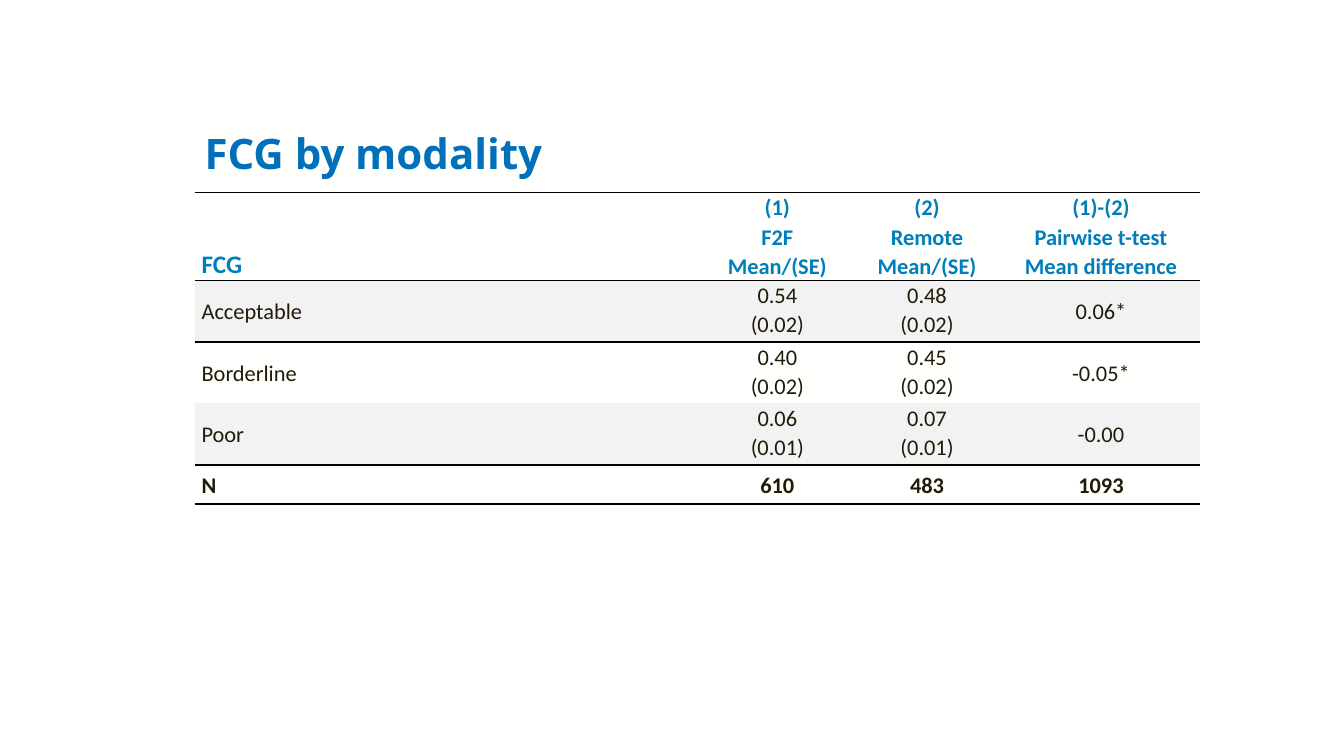
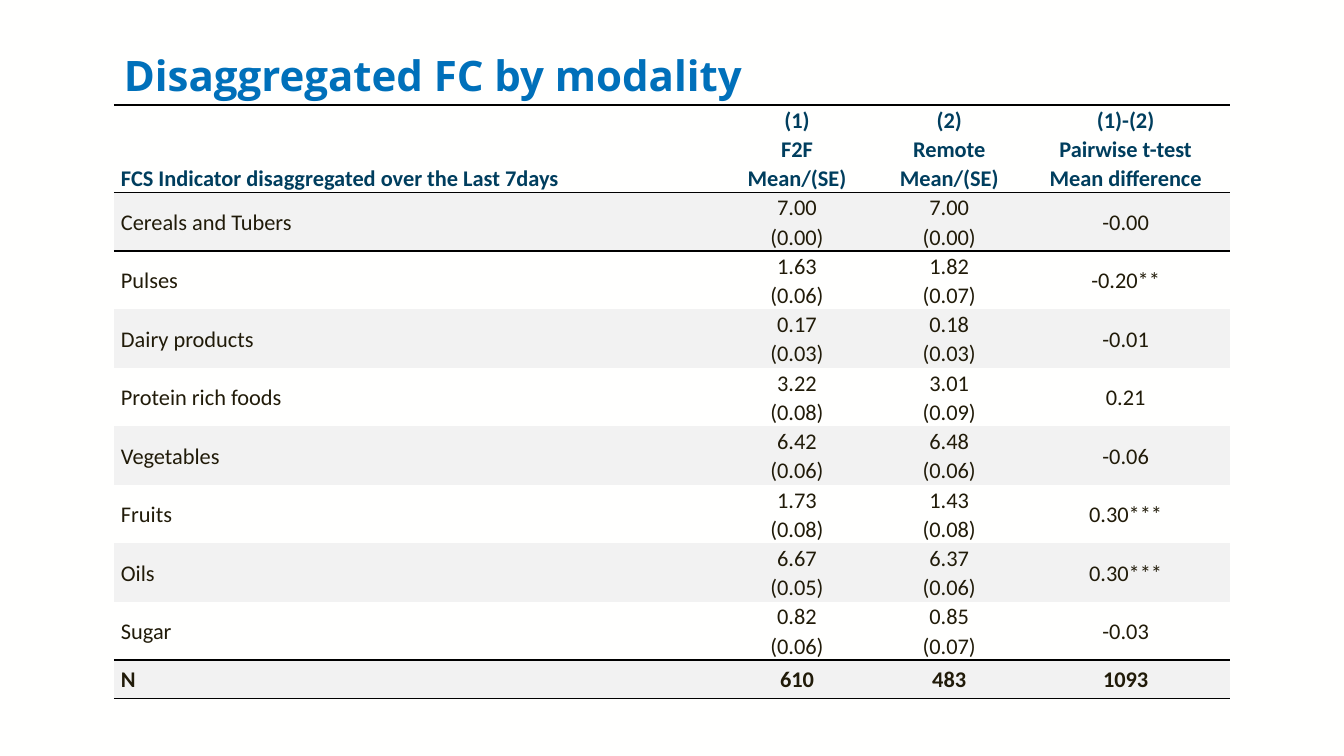
from lxml.etree import SubElement
from pptx import Presentation
from pptx.dml.color import RGBColor
from pptx.enum.text import MSO_ANCHOR, PP_ALIGN
from pptx.oxml.ns import qn
from pptx.util import Inches, Pt

PAPER = RGBColor(0xFF, 0xFF, 0xFE)
TITLE = RGBColor(0x00, 0x70, 0xBA)
BLUE = RGBColor(0x00, 0x7D, 0xBC)
NAVY = RGBColor(0x00, 0x3E, 0x5E)
INK = RGBColor(0x21, 0x1B, 0x09)
BAND = RGBColor(0xF2, 0xF2, 0xF2)
RULE = RGBColor(0x00, 0x00, 0x00)
NO_STYLE = "{2D5ABB26-0587-4C30-8999-92F81FD0307C}"

HEAD = ("(1)\nF2F\nMean/(SE)", "(2)\nRemote\nMean/(SE)", "(1)-(2)\nPairwise t-test\nMean difference")
TOTAL = ("N", "610", "483", "1093")

SLIDES = [
    dict(title="FCG by modality", left=1.93, title_top=0.92, top=1.91,
         cols=(5.04, 1.48, 1.49, 1.96), row_h=0.61, total_h=0.39,
         label="FCG", label_size=18, head_color=BLUE,
         body=[
             ("Acceptable", "0.54\n(0.02)", "0.48\n(0.02)", "0.06*"),
             ("Borderline", "0.40\n(0.02)", "0.45\n(0.02)", "-0.05*"),
             ("Poor", "0.06\n(0.01)", "0.07\n(0.01)", "-0.00"),
         ]),
    dict(title="Disaggregated FC by modality", left=1.13, title_top=0.14, top=1.04,
         cols=(5.98, 1.59, 1.43, 2.07), row_h=0.58, total_h=0.38,
         label="FCS Indicator disaggregated over the Last 7days", label_size=16, head_color=NAVY,
         body=[
             ("Cereals and Tubers", "7.00\n(0.00)", "7.00\n(0.00)", "-0.00"),
             ("Pulses", "1.63\n(0.06)", "1.82\n(0.07)", "-0.20**"),
             ("Dairy products", "0.17\n(0.03)", "0.18\n(0.03)", "-0.01"),
             ("Protein rich foods", "3.22\n(0.08)", "3.01\n(0.09)", "0.21"),
             ("Vegetables", "6.42\n(0.06)", "6.48\n(0.06)", "-0.06"),
             ("Fruits", "1.73\n(0.08)", "1.43\n(0.08)", "0.30***"),
             ("Oils", "6.67\n(0.05)", "6.37\n(0.06)", "0.30***"),
             ("Sugar", "0.82\n(0.06)", "0.85\n(0.07)", "-0.03"),
         ]),
]


def style(p, font, size, color, bold, spacing):
    p.line_spacing = spacing
    p.font.name = font
    p.font.size = Pt(size)
    p.font.bold = bold
    p.font.color.rgb = color


def add_rule(cell, side):
    ln = SubElement(cell._tc.get_or_add_tcPr(), qn(f"a:{side}"), w=str(Pt(1.5)))
    fill = SubElement(ln, qn("a:solidFill"))
    SubElement(fill, qn("a:srgbClr"), val=str(RULE))


prs = Presentation()
prs.slide_width, prs.slide_height = Inches(13.33), Inches(7.5)

for d in SLIDES:
    s = prs.slides.add_slide(prs.slide_layouts[6])
    s.background.fill.solid()
    s.background.fill.fore_color.rgb = PAPER

    rows = [(d["label"], *HEAD), *d["body"], TOTAL]
    heights = [0.87, *[d["row_h"]] * len(d["body"]), d["total_h"]]
    last = len(rows) - 1
    tbl = s.shapes.add_table(len(rows), len(d["cols"]), Inches(d["left"]), Inches(d["top"]),
                             Inches(sum(d["cols"])), Inches(sum(heights))).table
    tbl.first_row = tbl.horz_banding = False
    tbl._tbl.tblPr.find(qn("a:tableStyleId")).text = NO_STYLE
    for col, width in zip(tbl.columns, d["cols"]):
        col.width = Inches(width)

    for i, (values, height) in enumerate(zip(rows, heights)):
        tbl.rows[i].height = Inches(height)
        for j, value in enumerate(values):
            cell = tbl.cell(i, j)
            cell.text = value
            cell.margin_left = cell.margin_right = Inches(0.07)
            cell.margin_top = cell.margin_bottom = 0
            if i == 0:
                cell.vertical_anchor = MSO_ANCHOR.BOTTOM if j == 0 else MSO_ANCHOR.TOP
            else:
                cell.vertical_anchor = MSO_ANCHOR.TOP if "\n" in value else MSO_ANCHOR.MIDDLE
            if i in (0, 1, last):
                add_rule(cell, "lnT")
            if i in (0, last - 1, last):
                add_rule(cell, "lnB")
            if i % 2:
                cell.fill.solid()
                cell.fill.fore_color.rgb = BAND
            else:
                cell.fill.background()
            size = d["label_size"] if i == j == 0 else 16
            color = d["head_color"] if i == 0 else INK
            for p in cell.text_frame.paragraphs:
                p.alignment = PP_ALIGN.CENTER if j else PP_ALIGN.LEFT
                style(p, "Calibri", size, color, i in (0, last), 1.07)

    tf = s.shapes.add_textbox(Inches(d["left"]), Inches(d["title_top"]), Inches(9.71), Inches(1.26)).text_frame
    tf.word_wrap = True
    tf.vertical_anchor = MSO_ANCHOR.MIDDLE
    tf.text = d["title"]
    style(tf.paragraphs[0], "Open Sans", 30, TITLE, True, 0.9)

prs.save("out.pptx")
